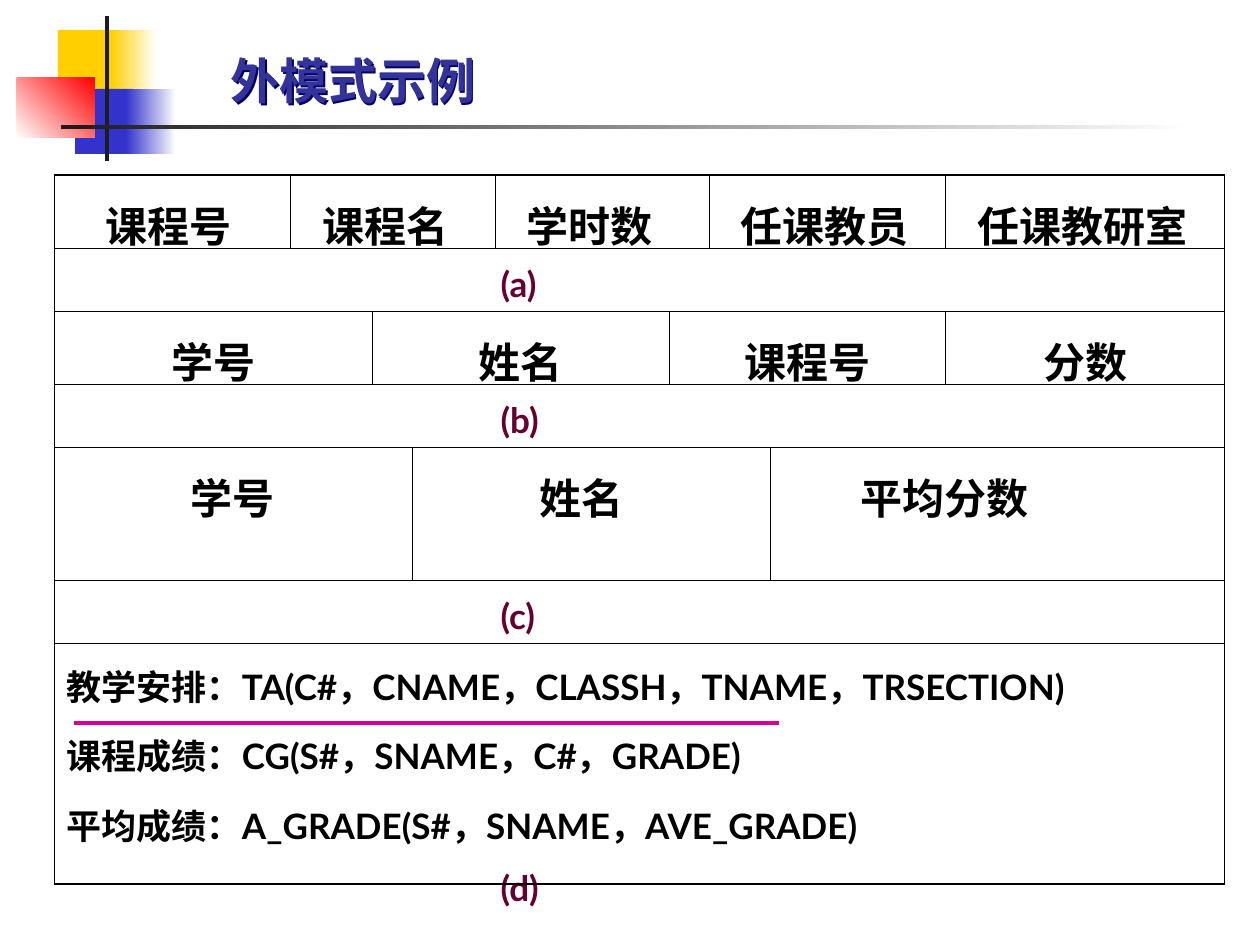
from lxml import etree
from pptx import Presentation, util as u
from pptx.dml.color import RGBColor
from pptx.enum import shapes, text
from pptx.oxml import parse_xml
from pptx.oxml.ns import qn

NS = 'xmlns:a="http://schemas.openxmlformats.org/drawingml/2006/main"'
NO_STYLE = "{2D5ABB26-0587-4C30-8999-92F81FD0307C}"
COLUMNS = [236, 82, 40, 83, 174, 40, 61, 176, 279]
CENTER = None
CAPTION_INDENT = 434
ROWS = [
    (73, [("课程号", 1, 39), ("课程名", 3, 20), ("学时数", 2, 19), ("任课教员", 2, 19), ("任课教研室", 1, 19)]),
    (63, "(a)"),
    (73, [("学号", 2, CENTER), ("姓名", 3, CENTER), ("课程号", 3, CENTER), ("分数", 1, CENTER)]),
    (63, "(b)"),
    (133, [("学号", 3, 124), ("姓名", 4, 115), ("平均分数", 2, 78)]),
    (63, "(c)"),
]
RELATIONS = [
    "教学安排：TA(C#，CNAME，CLASSH，TNAME，TRSECTION)",
    "课程成绩：CG(S#，SNAME，C#，GRADE)",
    "平均成绩：A_GRADE(S#，SNAME，AVE_GRADE)",
]
RELATIONS_HEIGHT = 241
FIELD_BOTTOM = -8
RELATIONS_BOTTOM = -27


def px(length):
    """Turn px into EMU at 126 px to the inch."""
    return u.Emu(round(length * 914400 / 126))


def color(code):
    """Turn a hex string into a colour."""
    return RGBColor.from_string(code)


def style(paragraph, size, code):
    """Set the bold face of a paragraph."""
    font = paragraph.font
    font.name, font.size, font.bold = "Lato", u.Pt(size), True
    font.color.rgb = color(code)


def block(slide, left, top, width, height, start, end=None, angle=0):
    """Place a borderless rectangle, plain or fading from start to end."""
    rect = slide.shapes.add_shape(shapes.MSO_SHAPE.RECTANGLE, px(left), px(top), px(width), px(height))
    rect.shadow.inherit = False
    rect.line.fill.background()
    if end is None:
        rect.fill.solid()
        rect.fill.fore_color.rgb = color(start)
        return
    rect.fill.gradient()
    rect.fill.gradient_angle = angle
    for stop, code, position in zip(rect.fill.gradient_stops, (start, end), (0, 1)):
        stop.color.rgb = color(code)
        stop.position = position


def ornament(slide, left, top):
    """Place the coloured squares and the crossing rules."""
    block(slide, left + 41, top + 14, 60, 65, "FFCF01")
    block(slide, left + 94, top + 14, 45, 65, "FFCF01", "FFFFFF")
    block(slide, left + 58, top + 73, 58, 65, "3333CC")
    block(slide, left + 109, top + 73, 50, 65, "3333CC", "FFFFFF")
    block(slide, left, top + 62, 78, 60, "FFFFFF", "FF0000", 45)
    block(slide, left + 88, top, 4, 145, "1C1C1C")
    block(slide, left + 44, top + 109, 1134, 4, "1C1C1C", "FFFFFF")


def heading(slide, left, top, width, height):
    """Place the slide title with its shadow."""
    box = slide.shapes.add_textbox(px(left), px(top), px(width), px(height))
    box._element.spPr.append(parse_xml(
        f'<a:effectLst {NS}><a:outerShdw dist="17961" dir="2700000">'
        '<a:srgbClr val="000066"/></a:outerShdw></a:effectLst>'))
    frame = box.text_frame
    frame.word_wrap = True
    frame.vertical_anchor = text.MSO_ANCHOR.BOTTOM
    title = frame.paragraphs[0]
    title.text = "外模式示例"
    style(title, 28, "333399")


def write(paragraph, words, size, code, indent, before):
    """Write one table paragraph, indented by px or centred."""
    paragraph.text = words
    paragraph.line_spacing = 1.2
    paragraph.space_before = u.Pt(before)
    if indent is CENTER:
        paragraph.alignment = text.PP_ALIGN.CENTER
    else:
        properties = paragraph._p.get_or_add_pPr()
        properties.set("marL", str(px(indent)))
        properties.set("indent", "0")
    style(paragraph, size, code)


def border(cell, sides, outer):
    """Draw the given sides of a cell, thicker along the table's edge."""
    cell.fill.background()
    properties = cell._tc.get_or_add_tcPr()
    for place, side in enumerate(sides):
        width = u.Pt(1.08 if side in outer else 0.45)
        properties.insert(place, parse_xml(
            f'<a:ln{side} {NS} w="{width}"><a:solidFill><a:srgbClr val="000000"/>'
            f'</a:solidFill></a:ln{side}>'))


def span(table, row, first, count, bottom):
    """Merge cells of a row, border them and return the first one."""
    cell = table.cell(row, first)
    last = first + count - 1
    if count > 1:
        cell.merge(table.cell(row, last))
    outer = "T" * (row == 0) + "B" * (row == len(ROWS))
    border(cell, "LRTB", outer)
    cell.margin_bottom = px(bottom)
    for column in range(first + 1, last + 1):
        border(table.cell(row, column), "TB", outer)
    return cell


def schema_table(slide, left, top):
    """Place the table of external schemas and their relations."""
    heights = [height for height, _ in ROWS] + [RELATIONS_HEIGHT]
    graphic = slide.shapes.add_table(
        len(heights), len(COLUMNS), px(left), px(top), px(sum(COLUMNS)), px(sum(heights)))
    table = graphic.table
    table.first_row = table.horz_banding = False
    table._tbl.tblPr.find(qn("a:tableStyleId")).text = NO_STYLE
    for column, width in zip(table.columns, COLUMNS):
        column.width = px(width)
    for row, height in zip(table.rows, heights):
        row.height = px(height)
    for row, (_, content) in enumerate(ROWS):
        if isinstance(content, str):
            caption = span(table, row, 0, len(COLUMNS), 0).text_frame.paragraphs[0]
            write(caption, content, 20, "660033", CAPTION_INDENT, 5)
            continue
        first = 0
        for field, count, indent in content:
            cell = span(table, row, first, count, FIELD_BOTTOM)
            write(cell.text_frame.paragraphs[0], field, 24, "000000", indent, 6)
            first += count
    frame = span(table, len(ROWS), 0, len(COLUMNS), RELATIONS_BOTTOM).text_frame
    for number, relation in enumerate(RELATIONS):
        paragraph = frame.add_paragraph() if number else frame.paragraphs[0]
        write(paragraph, relation, 20, "000000", 0, 5)
    write(frame.add_paragraph(), "(d)", 20, "660033", CAPTION_INDENT, 5)


def underline(slide, left, top, width):
    """Place the line under the first relation."""
    rule = slide.shapes.add_connector(
        shapes.MSO_CONNECTOR.STRAIGHT, px(left), px(top), px(left + width), px(top))
    rule.line.color.rgb = color("D60093")
    rule.line.width = u.Pt(2.25)
    etree.SubElement(rule._element.spPr, qn("a:effectLst"))


def main():
    """Build and save the slide."""
    deck = Presentation()
    deck.slide_width, deck.slide_height = px(1260), px(945)
    slide = deck.slides.add_slide(deck.slide_layouts[6])
    ornament(slide, 17, 16)
    schema_table(slide, 54, 175)
    underline(slide, 74, 723, 705)
    heading(slide, 218, 30, 392, 86)
    deck.save("out.pptx")


if __name__ == "__main__":
    main()
